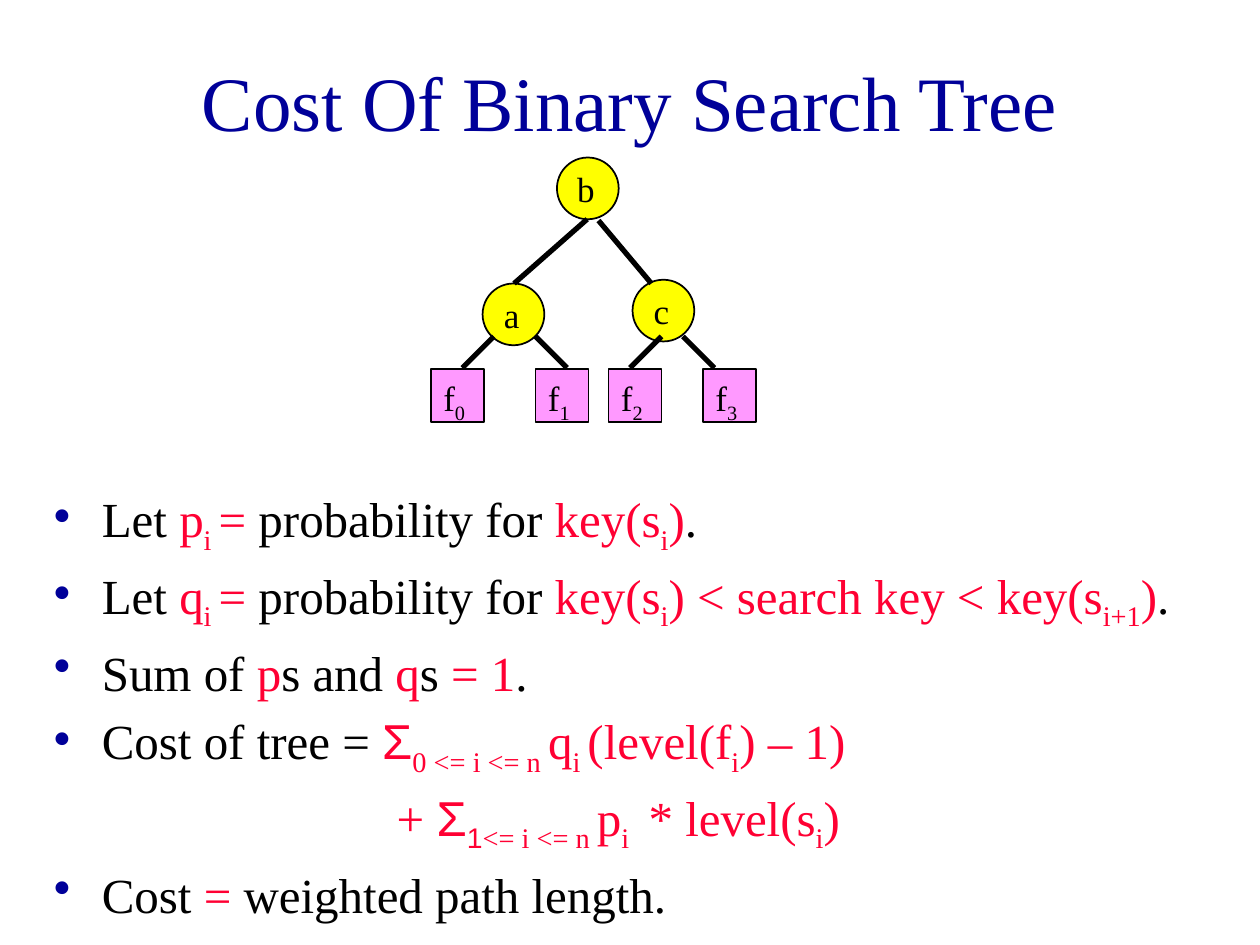
from lxml import etree
from pptx import Presentation
from pptx.dml.color import RGBColor
from pptx.enum.shapes import MSO_CONNECTOR, MSO_SHAPE
from pptx.enum.text import MSO_ANCHOR, PP_ALIGN
from pptx.oxml.ns import qn
from pptx.util import Inches, Pt

OVAL, RECT = MSO_SHAPE.OVAL, MSO_SHAPE.RECTANGLE
STRAIGHT = MSO_CONNECTOR.STRAIGHT
TOP, MIDDLE = MSO_ANCHOR.TOP, MSO_ANCHOR.MIDDLE
LEFT, CENTER = PP_ALIGN.LEFT, PP_ALIGN.CENTER
NAVY = RGBColor(0x00, 0x00, 0x99)
BLACK = RGBColor(0x00, 0x00, 0x00)
RED = RGBColor(0xFF, 0x00, 0x33)
YELLOW = RGBColor(0xFF, 0xFF, 0x00)
PINK = RGBColor(0xFF, 0x99, 0xFF)
SERIF, SANS = "Times New Roman", "Arial"


def add_run(p, text, size, color=BLACK, sub=False, font=SERIF):
    r = p.add_run()
    r.text = text
    r.font.size = Pt(size)
    r.font.name = font
    r.font.color.rgb = color
    if sub:
        r._r.get_or_add_rPr().set("baseline", "-25000")


def add_node(kind, x, y, size, fill):
    sp = s.shapes.add_shape(kind, Inches(x), Inches(y), Inches(size), Inches(size))
    sp.shadow.inherit = False
    sp.fill.solid()
    sp.fill.fore_color.rgb = fill
    sp.line.color.rgb = BLACK
    sp.line.width = Pt(1)
    tf = sp.text_frame
    tf.word_wrap = False
    tf.margin_left = tf.margin_right = tf.margin_top = tf.margin_bottom = 0
    return tf


prs = Presentation()
prs.slide_width, prs.slide_height = Inches(10), Inches(7.5)
s = prs.slides.add_slide(prs.slide_layouts[6])

title = s.shapes.add_textbox(Inches(0.75), Inches(0.17), Inches(8.5), Inches(1.25))
tf = title.text_frame
tf.word_wrap = True
tf.vertical_anchor = MIDDLE
p = tf.paragraphs[0]
p.alignment = CENTER
add_run(p, "Cost Of Binary Search Tree", 44, NAVY)

PLAIN = {}
KEY = {"color": RED}
SUB = {"color": RED, "sub": True}
SIGMA = {"color": RED, "font": SANS}
SIGMA_SUB = {"color": RED, "font": SANS, "sub": True}
lines = [
    (True, [("Let ", PLAIN), ("p", KEY), ("i ", SUB), ("=", KEY),
            (" probability for ", PLAIN), ("key(s", KEY), ("i", SUB),
            (")", KEY), (".", PLAIN)]),
    (True, [("Let ", PLAIN), ("q", KEY), ("i ", SUB), ("=", KEY),
            (" probability for ", PLAIN), ("key(s", KEY), ("i", SUB),
            (") < search key < key(s", KEY), ("i+1", SUB), (")", KEY), (".", PLAIN)]),
    (True, [("Sum of ", PLAIN), ("p", KEY), ("s and ", PLAIN), ("q", KEY),
            ("s ", PLAIN), ("= 1", KEY), (".", PLAIN)]),
    (True, [("Cost of tree = ", PLAIN), ("Σ", SIGMA), ("0 <= i <= n ", SUB),
            ("q", KEY), ("i ", SUB), ("(level(f", KEY), ("i", SUB), (") – 1)", KEY)]),
    (False, [("+ ", KEY), ("Σ", SIGMA), ("1", SIGMA_SUB), ("<= i <= n ", SUB),
             ("p", KEY), ("i ", SUB), (" * level(s", KEY), ("i", SUB), (")", KEY)]),
    (True, [("Cost ", PLAIN), ("=", KEY), (" weighted path length.", PLAIN)]),
]
body = s.shapes.add_textbox(Inches(0.33), Inches(3.83), Inches(9.42), Inches(3.42))
tf = body.text_frame
tf.word_wrap = True
for i, (bullet, runs) in enumerate(lines):
    p = tf.paragraphs[0] if i == 0 else tf.add_paragraph()
    pPr = p._p.get_or_add_pPr()
    before = etree.SubElement(pPr, qn("a:spcBef"))
    etree.SubElement(before, qn("a:spcPct")).set("val", "20000")
    if bullet:
        pPr.set("marL", str(Inches(0.38)))
        pPr.set("indent", str(-Inches(0.38)))
        color = etree.SubElement(pPr, qn("a:buClr"))
        etree.SubElement(color, qn("a:srgbClr")).set("val", str(NAVY))
        etree.SubElement(pPr, qn("a:buChar")).set("char", "•")
    else:
        pPr.set("marL", str(Inches(2.72)))
        pPr.set("indent", "0")
    for text, style in runs:
        add_run(p, text, 28, **style)

for name, x, y in [("b", 4.42, 1.25), ("a", 3.83, 2.25), ("c", 5.02, 2.22)]:
    tf = add_node(OVAL, x, y, 0.49, YELLOW)
    tf.vertical_anchor = MIDDLE
    tf.margin_right = Inches(0.03)
    p = tf.paragraphs[0]
    p.alignment = CENTER
    add_run(p, name, 20)

for i, x in enumerate([3.42, 4.25, 4.83, 5.58]):
    tf = add_node(RECT, x, 2.93, 0.42, PINK)
    tf.vertical_anchor = TOP
    tf.margin_left = Inches(0.1)
    tf.margin_top = Inches(0.06)
    p = tf.paragraphs[0]
    p.alignment = LEFT
    add_run(p, "f", 20)
    add_run(p, str(i), 20, sub=True)

edges = [(4.66, 1.74, 4.08, 2.25), (4.75, 1.75, 5.17, 2.25)]
edges += [(x, 2.67, x + dx, 2.92)
          for x, dx in [(3.92, -0.25), (4.25, 0.25), (5.25, -0.25), (5.42, 0.25)]]
for x1, y1, x2, y2 in edges:
    edge = s.shapes.add_connector(STRAIGHT, Inches(x1), Inches(y1), Inches(x2), Inches(y2))
    edge.line.color.rgb = BLACK
    edge.line.width = Pt(3)
    etree.SubElement(edge._element.spPr, qn("a:effectLst"))

prs.save("out.pptx")
